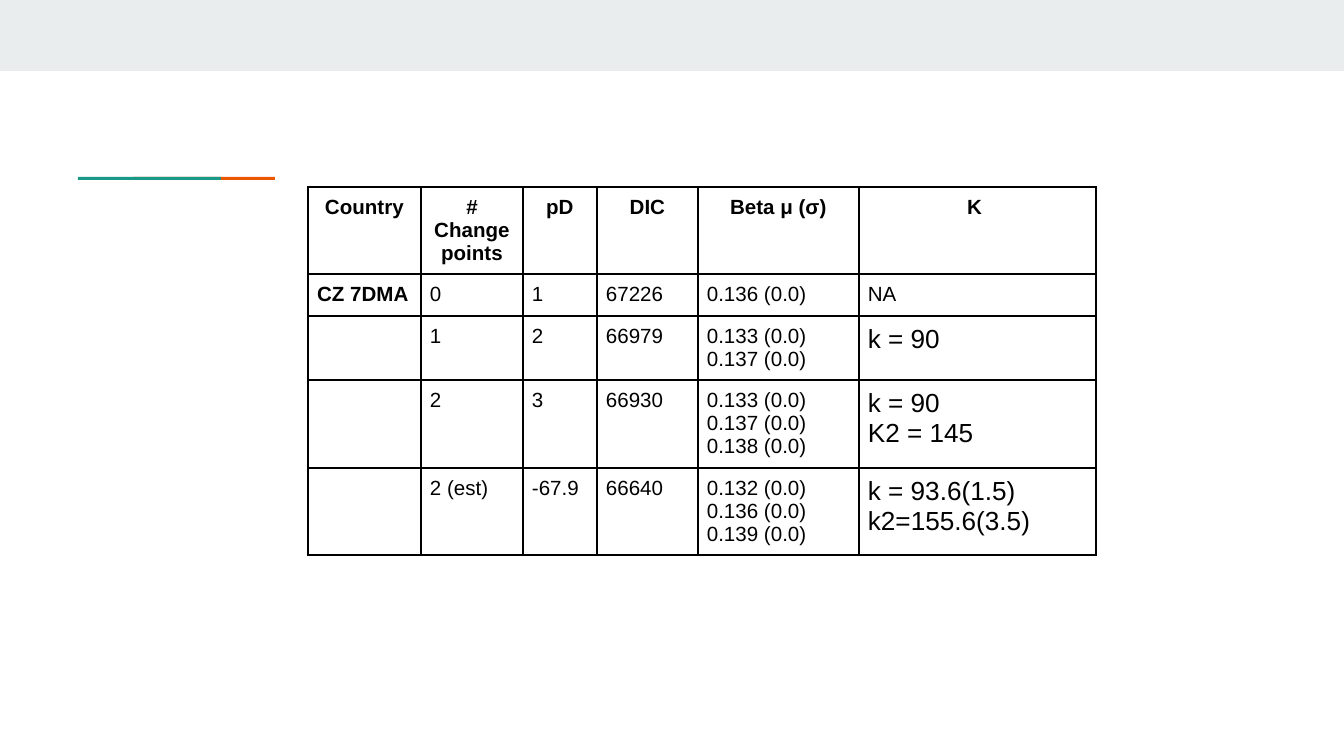
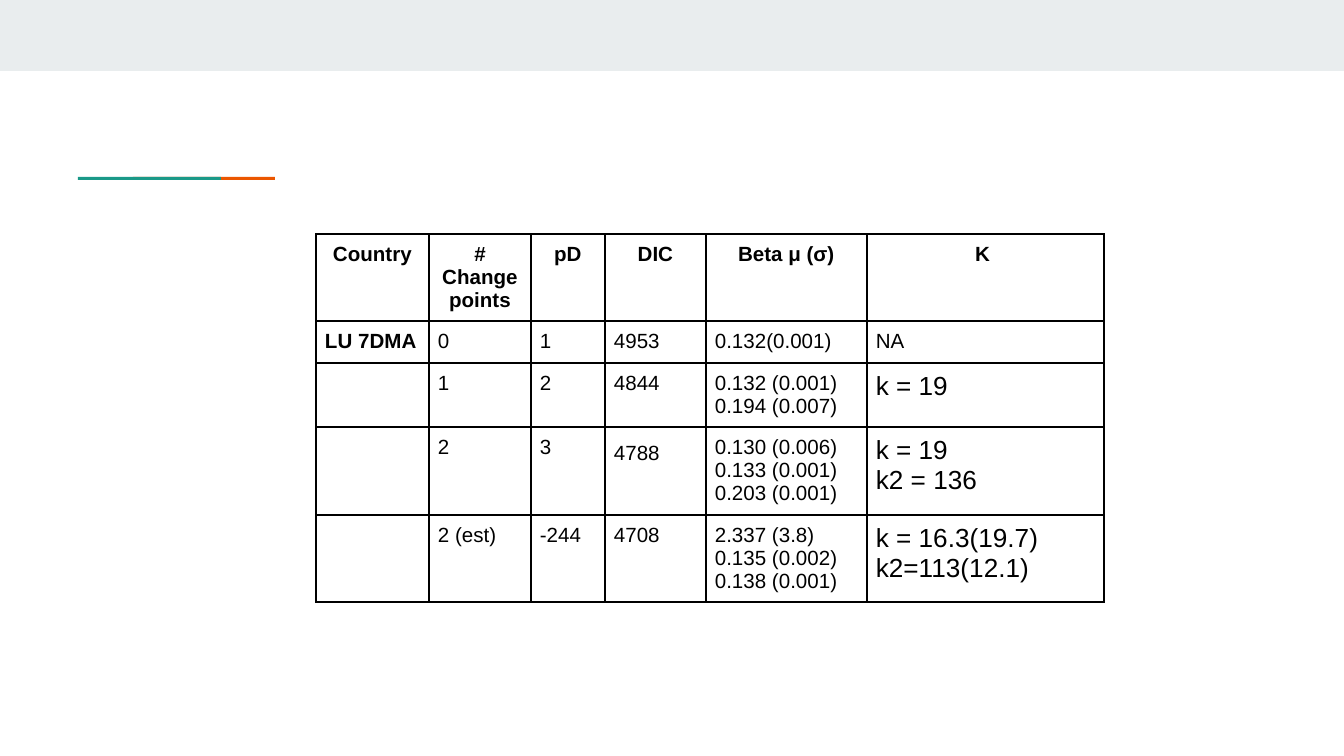
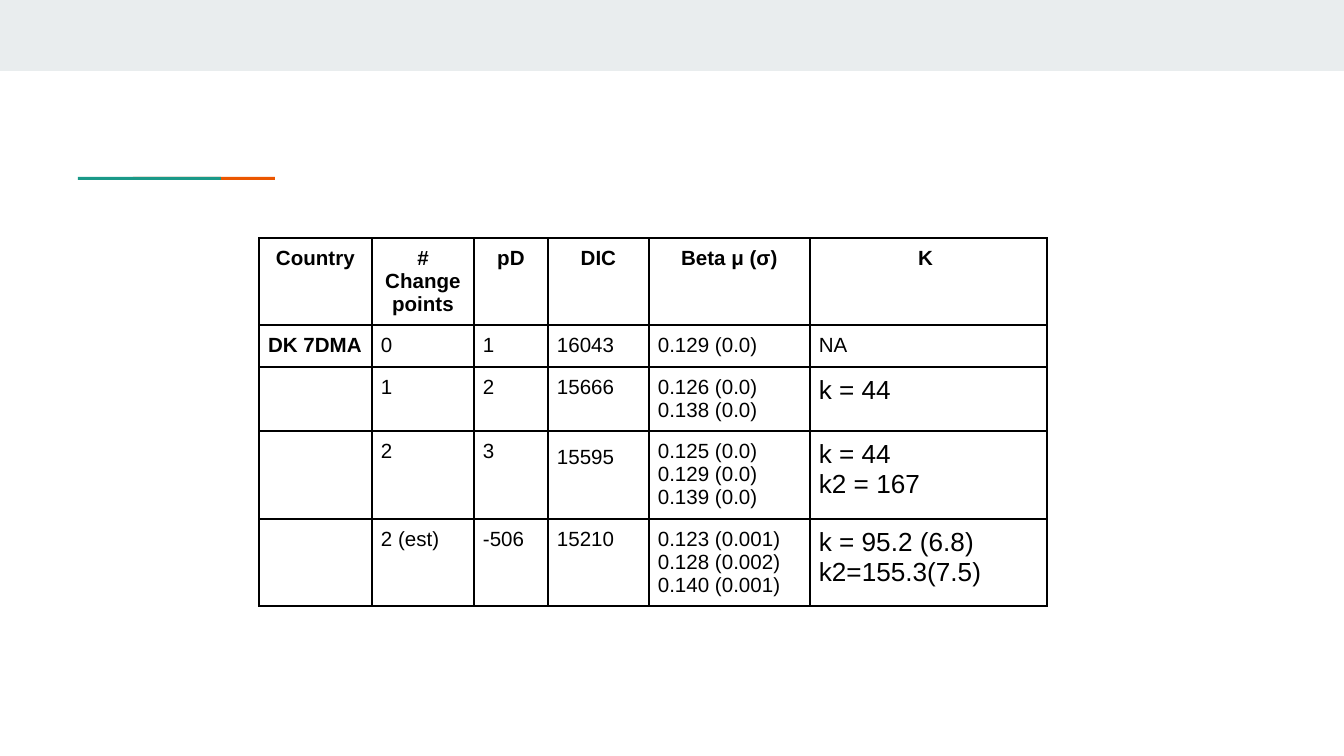
from dataclasses import dataclass

from lxml.etree import SubElement
from pptx import Presentation
from pptx.dml.color import RGBColor
from pptx.enum.shapes import MSO_SHAPE
from pptx.enum.text import PP_ALIGN
from pptx.oxml.ns import qn
from pptx.util import Emu, Pt


@dataclass(frozen=True)
class Theme:
    """Colours and type sizes of the presentation."""
    band: str = "E9EDEE"
    orange: str = "EB5600"
    teal: str = "1A9988"
    ink: str = "000000"
    font: str = "Arial"
    body: int = 11
    large: int = 14
    border: int = 1


theme = Theme()


def px(pixels):
    """Turn pixels into EMU."""
    return Emu(round(pixels * 914400 / 134.4))


def add_borders(cell):
    """Draw a solid line on all four sides of a table cell."""
    properties = cell._tc.get_or_add_tcPr()
    for index, side in enumerate(("lnL", "lnR", "lnT", "lnB")):
        line = SubElement(properties, qn(f"a:{side}"), w=str(Pt(theme.border)))
        fill = SubElement(line, qn("a:solidFill"))
        SubElement(fill, qn("a:srgbClr"), val=theme.ink)
        properties.insert(index, line)


# Left, top, width, height and colour, from back to front
bands = [
    (0, 0, 1344, 71, theme.band),
    (133, 177, 142, 3, theme.orange),
    (78, 177, 143, 3, theme.teal),
]

column_widths = [113, 102, 74, 101, 161, 237]
row_heights = [87, 42, 64, 88, 87]
cell_margin = 9
header = ["Country", "# Change\npoints", "pD", "DIC", "Beta μ (σ)", "Κ "]
change_points = ["0", "1", "2", "2 (est)"]

# A line feed starts a paragraph, a vertical tab breaks a line within one
results = [
    {
        "position": (308, 187),
        "country": "CZ 7DMA",
        "pd": ["1", "2", "3", "-67.9"],
        "dic": ["67226", "66979", "66930", "66640"],
        "beta": ["0.136 (0.0)", "0.133 (0.0)\v0.137 (0.0)",
                 "0.133 (0.0)\v0.137 (0.0)\n0.138 (0.0)",
                 "0.132 (0.0)\v0.136 (0.0)\n0.139 (0.0)"],
        "k": ["NA", "k = 90", "k = 90\nK2 = 145",
              "k = 93.6(1.5)\nk2=155.6(3.5)"],
        "loose_cells": [],
    },
    {
        "position": (316, 234),
        "country": "LU 7DMA",
        "pd": ["1", "2", "3", "-244"],
        "dic": ["4953", "4844", "4788", "4708"],
        "beta": ["0.132(0.001)", "0.132 (0.001)\v0.194 (0.007)",
                 "0.130 (0.006)\v0.133 (0.001)\n0.203 (0.001)",
                 "2.337 (3.8)\v0.135 (0.002)\n0.138 (0.001)"],
        "k": ["NA", "k = 19", "k = 19\nk2 = 136",
              "k = 16.3(19.7)\nk2=113(12.1)"],
        "loose_cells": [(3, 3)],
    },
    {
        "position": (259, 238),
        "country": "DK 7DMA",
        "pd": ["1", "2", "3", "-506"],
        "dic": ["16043", "15666", "15595", "15210"],
        "beta": ["0.129 (0.0)", "0.126 (0.0)\v0.138 (0.0)",
                 "0.125 (0.0)\v0.129 (0.0)\n0.139 (0.0)",
                 "0.123 (0.001)\v0.128 (0.002)\n0.140 (0.001)"],
        "k": ["NA", "k = 44", "k = 44\nk2 = 167",
              "k = 95.2 (6.8)\nk2=155.3(7.5)"],
        "loose_cells": [(3, 3)],
    },
]

presentation = Presentation()
presentation.slide_width = px(1344)
presentation.slide_height = px(756)

for result in results:
    slide = presentation.slides.add_slide(presentation.slide_layouts[6])

    for left, top, width, height, colour in bands:
        shape = slide.shapes.add_shape(
            MSO_SHAPE.RECTANGLE, px(left), px(top), px(width), px(height))
        shape.shadow.inherit = False
        shape.fill.solid()
        shape.fill.fore_color.rgb = RGBColor.from_string(colour)
        shape.line.fill.background()

    countries = [result["country"], "", "", ""]
    rows = [header, *zip(countries, change_points, result["pd"],
                         result["dic"], result["beta"], result["k"])]
    left, top = result["position"]
    table = slide.shapes.add_table(
        len(rows), len(header), px(left), px(top),
        px(sum(column_widths)), px(sum(row_heights))).table
    table.first_row = False
    table.horz_banding = False
    for column, width in zip(table.columns, column_widths):
        column.width = px(width)
    for row, height in zip(table.rows, row_heights):
        row.height = px(height)

    for row_index, texts in enumerate(rows):
        for column_index, text in enumerate(texts):
            cell = table.cell(row_index, column_index)
            cell.margin_left = cell.margin_right = px(cell_margin)
            cell.margin_top = cell.margin_bottom = px(cell_margin)
            cell.fill.background()
            add_borders(cell)
            cell.text_frame.text = text
            is_header = row_index == 0
            is_large = row_index > 1 and column_index == 5
            for paragraph in cell.text_frame.paragraphs:
                paragraph.font.name = theme.font
                paragraph.font.size = Pt(theme.large if is_large else theme.body)
                paragraph.font.bold = is_header or column_index == 0
                paragraph.font.color.rgb = RGBColor.from_string(theme.ink)
                if is_header:
                    paragraph.alignment = PP_ALIGN.CENTER
                if (row_index, column_index) in result["loose_cells"]:
                    paragraph.line_spacing = 1.25

presentation.save("out.pptx")
